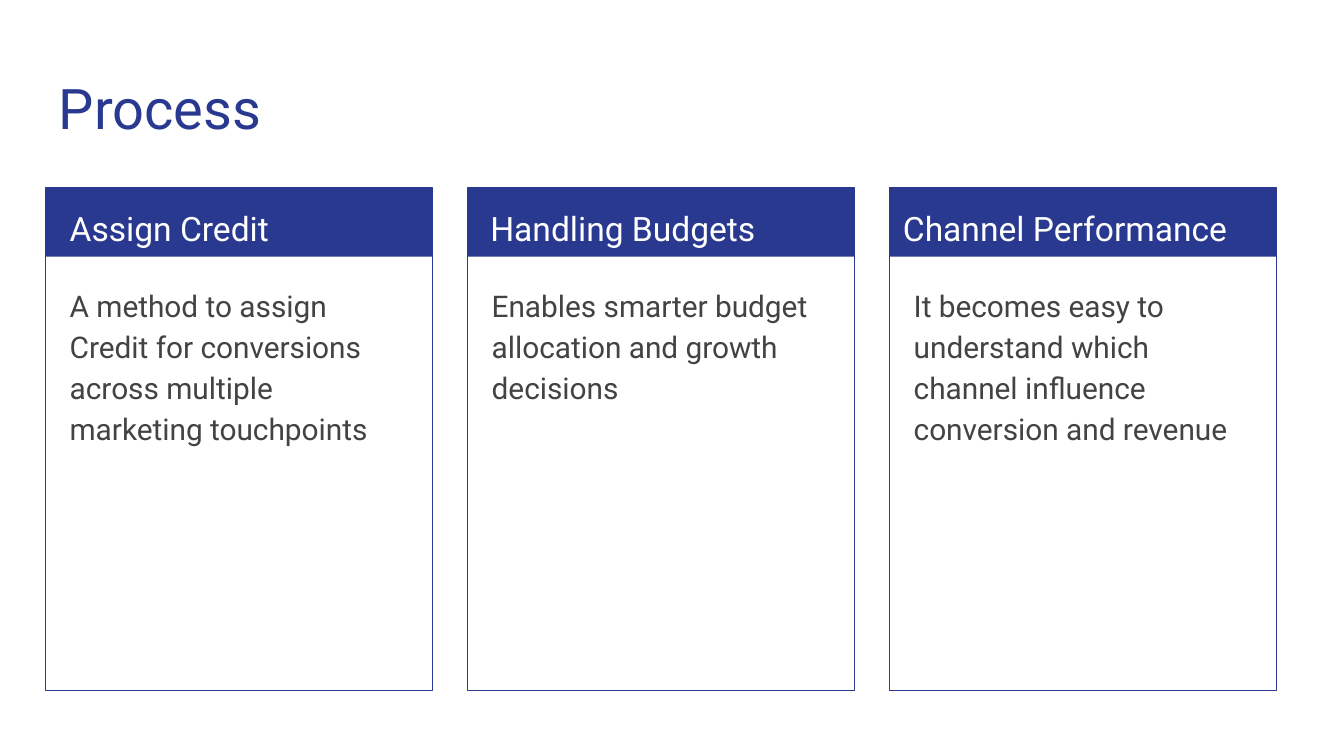
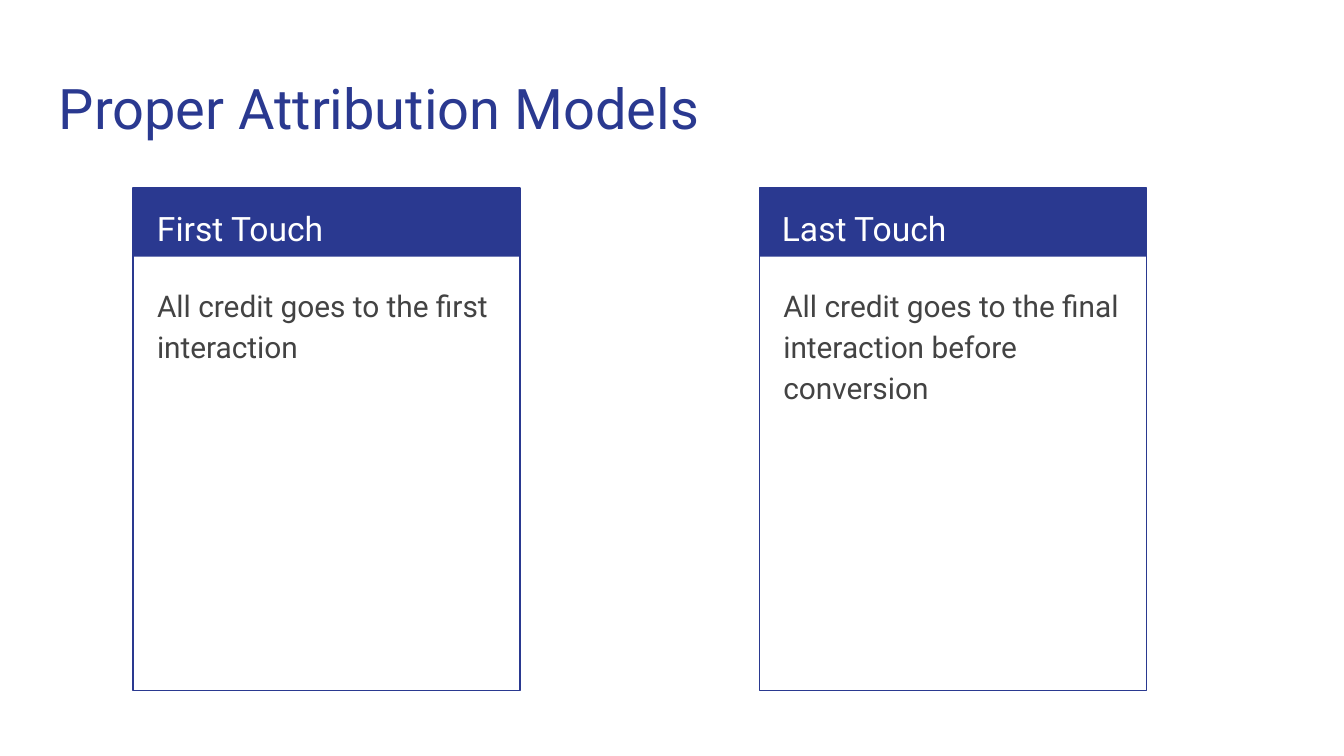
from pptx import Presentation, util as u
from pptx.dml.color import RGBColor
from pptx.enum import shapes, text

# Content: heading, body and heading indent of each card
SLIDES = [
    {"title": "Process", "left": 0.34, "pitch": 3.14, "cards": [
        ("Assign Credit", "A method to assign Credit for conversions across multiple "
                          "marketing touchpoints", 0.08),
        ("Handling Budgets", "Enables smarter budget allocation and growth decisions", 0.07),
        ("Channel Performance", "It becomes easy to understand which channel influence "
                                "conversion and revenue", 0),
    ]},
    {"title": "Proper Attribution Models", "left": 0.99, "pitch": 4.66, "cards": [
        ("First Touch", "All credit goes to the first interaction", 0.08),
        ("Last Touch", "All credit goes to the final interaction before conversion", 0.07),
    ]},
]

# Shared style
COLOURS = {"blue": "2A3990", "white": "FFFFFF", "grey": "434343"}
FONT = "Roboto"
STYLES = {
    "title": {"size": 30, "colour": "blue", "paragraph": {}},
    "heading": {"size": 18, "colour": "white", "paragraph": {"line_spacing": 1.15}},
    "body": {"size": 16, "colour": "grey",
             "paragraph": {"line_spacing": 1.15, "space_after": u.Pt(16)}},
}
WIDTH = 10
HEIGHT = WIDTH * 9 / 16
MARGIN, TITLE_TOP, TITLE_HEIGHT = 0.34, 0.45, 0.66
CARD_TOP, CARD_WIDTH, CARD_HEIGHT, BAND_HEIGHT = 1.4, 2.88, 3.74, 0.51
HEADING_SIZE = (2.73, 0.5)
BODY_INDENT, BODY_DROP, BODY_SIZE = 0.08, 0.6, (2.71, 3.06)


def colour(name):
    return RGBColor.from_string(COLOURS[name])


def inches(*lengths):
    return [u.Inches(length) for length in lengths]


def set_values(target, values):
    for name, value in values.items():
        setattr(target, name, value)


def add_text(slide, words, style_name, *box):
    style = STYLES[style_name]
    frame = slide.shapes.add_textbox(*inches(*box)).text_frame
    set_values(frame, {"word_wrap": True, "vertical_anchor": text.MSO_ANCHOR.TOP})
    for side in ("left", "top", "right", "bottom"):
        setattr(frame, f"margin_{side}", u.Inches(0.1))
    paragraph = frame.paragraphs[0]
    set_values(paragraph, style["paragraph"])
    run = paragraph.add_run()
    run.text = words
    set_values(run.font, {"name": FONT, "size": u.Pt(style["size"])})
    run.font.color.rgb = colour(style["colour"])


def add_rectangle(group, left, height):
    shape = group.shapes.add_shape(shapes.MSO_SHAPE.RECTANGLE,
                                   *inches(left, CARD_TOP, CARD_WIDTH, height))
    shape.shadow.inherit = False
    return shape


def add_card(slide, left, heading, body, heading_indent):
    # Filled band and outlined frame
    group = slide.shapes.add_group_shape()
    band = add_rectangle(group, left, BAND_HEIGHT)
    band.fill.solid()
    band.fill.fore_color.rgb = colour("blue")
    band.line.fill.background()
    outline = add_rectangle(group, left, CARD_HEIGHT)
    outline.fill.background()
    outline.line.color.rgb = colour("blue")
    outline.line.width = u.Pt(0.75)

    # Heading and body text
    add_text(slide, heading, "heading", left + heading_indent, CARD_TOP, *HEADING_SIZE)
    add_text(slide, body, "body", left + BODY_INDENT, CARD_TOP + BODY_DROP, *BODY_SIZE)


def main():
    presentation = Presentation()
    presentation.slide_width, presentation.slide_height = inches(WIDTH, HEIGHT)
    for content in SLIDES:
        slide = presentation.slides.add_slide(presentation.slide_layouts[6])
        slide.background.fill.solid()
        slide.background.fill.fore_color.rgb = colour("white")
        add_text(slide, content["title"], "title",
                 MARGIN, TITLE_TOP, WIDTH - 2 * MARGIN, TITLE_HEIGHT)
        for column, card in enumerate(content["cards"]):
            add_card(slide, content["left"] + column * content["pitch"], *card)
    presentation.save("out.pptx")


if __name__ == "__main__":
    main()
